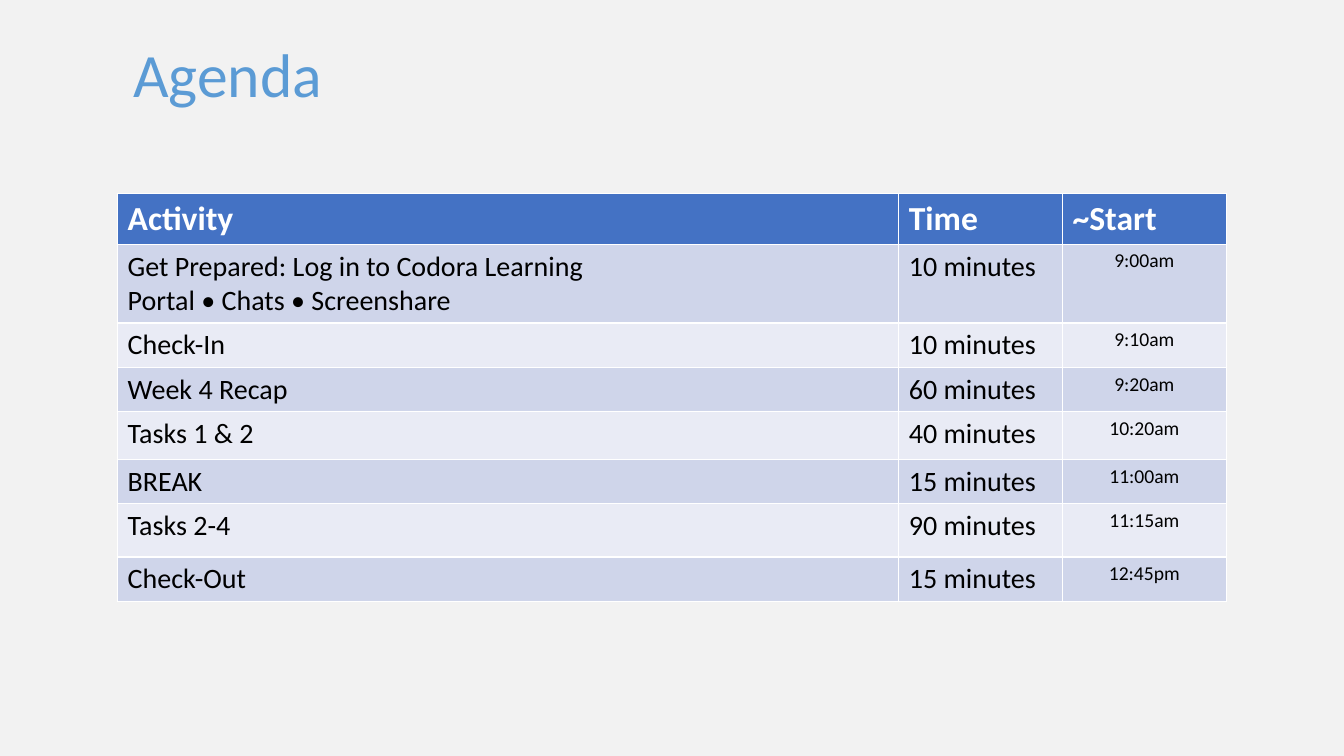
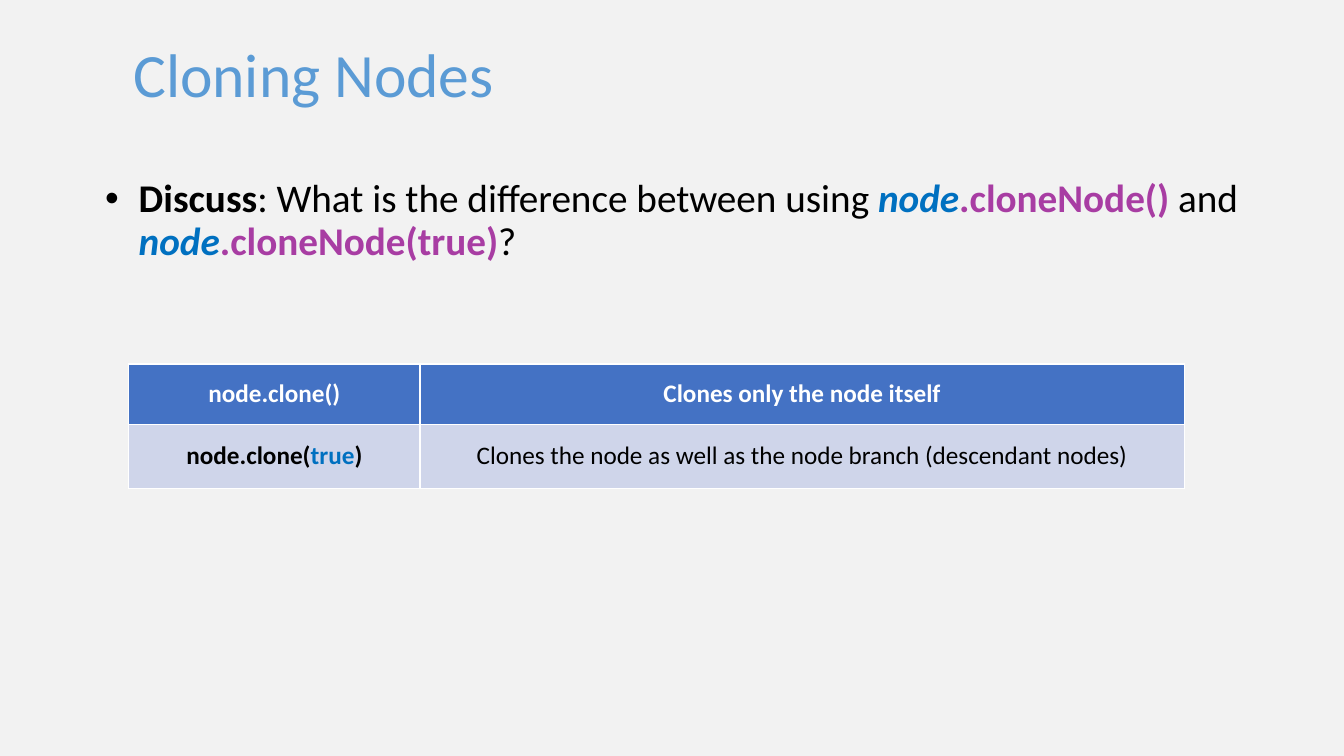
from lxml import etree
from pptx import Presentation
from pptx.dml.color import RGBColor
from pptx.enum import text
from pptx.oxml import ns
from pptx.util import Pt

COLORS = {
    "background": "F2F2F2",
    "title": "5B9BD5",
    "header": "4472C4",
    "band_dark": "CFD5EA",
    "band_light": "E9EBF5",
    "white": "FFFFFF",
    "black": "000000",
    "node": "0070C0",
    "method": "A83DA3",
}
FONT = "Calibri"
LEFT, CENTER = text.PP_ALIGN.LEFT, text.PP_ALIGN.CENTER
MIDDLE = text.MSO_ANCHOR.MIDDLE

prs = Presentation()
prs.slide_width, prs.slide_height = Pt(960), Pt(540)
background = prs.slide_master.background.fill
background.solid()
background.fore_color.rgb = RGBColor.from_string(COLORS["background"])


def write(paragraph, runs, size, color, bold=False, align=LEFT):
    """Fill a paragraph with (text, colour, bold, italic) runs or plain text."""
    paragraph.alignment = align
    paragraph.font.name = FONT
    paragraph.font.size = Pt(size)
    paragraph.font.bold = bold
    paragraph.font.color.rgb = RGBColor.from_string(COLORS[color])
    if isinstance(runs, str):
        paragraph.text = runs
        return
    for words, run_color, run_bold, run_italic in runs:
        run = paragraph.add_run()
        run.text = words
        run.font.bold, run.font.italic = run_bold, run_italic
        run.font.color.rgb = RGBColor.from_string(COLORS[run_color])


def add_table(slide, left, top, widths, heights):
    """Add a table with a coloured header and alternating row bands."""
    table = slide.shapes.add_table(len(heights), len(widths), Pt(left), Pt(top),
                                   Pt(sum(widths)), Pt(sum(heights))).table
    for column, width in zip(table.columns, widths):
        column.width = Pt(width)
    for number, (row, height) in enumerate(zip(table.rows, heights)):
        row.height = Pt(height)
        band = "header" if number == 0 else ("band_light", "band_dark")[number % 2]
        for cell in row.cells:
            cell.fill.solid()
            cell.fill.fore_color.rgb = RGBColor.from_string(COLORS[band])
    return table


# Slides and titles
slides = []
for heading in ("Agenda", "Cloning Nodes"):
    slide = prs.slides.add_slide(prs.slide_layouts[5])
    title = slide.shapes.title
    title.left, title.top, title.width, title.height = Pt(88), Pt(12), Pt(806), Pt(87)
    title.text_frame.vertical_anchor = MIDDLE
    title.text_frame.paragraphs[0].line_spacing = 0.9
    write(title.text_frame.paragraphs[0], heading, 44, "title")
    slides.append(slide)
agenda_slide, cloning_slide = slides

# Agenda table
agenda = [
    ("Activity", "Time", "~Start"),
    ("Get Prepared: Log in to Codora Learning\vPortal • Chats • Screenshare",
     "10 minutes", "9:00am"),
    ("Check-In", "10 minutes", "9:10am"),
    ("Week 4 Recap", "60 minutes", "9:20am"),
    ("Tasks 1 & 2", "40 minutes", "10:20am"),
    ("BREAK", "15 minutes", "11:00am"),
    ("Tasks 2-4", "90 minutes", "11:15am"),
    ("Check-Out", "15 minutes", "12:45pm"),
]
agenda_table = add_table(agenda_slide, 84, 138, [558, 117, 117],
                         [36, 56, 31.6, 31.6, 34, 31.6, 38, 31.6])
for row_number, entries in enumerate(agenda):
    for column_number, entry in enumerate(entries):
        paragraph = agenda_table.cell(row_number, column_number).text_frame.paragraphs[0]
        if row_number == 0:
            write(paragraph, entry, 24, "white", bold=True)
        elif column_number == 2:
            write(paragraph, entry, 14, "black", align=CENTER)
        else:
            write(paragraph, entry, 20, "black")

# Discussion question
question = cloning_slide.shapes.add_textbox(Pt(65.5), Pt(123), Pt(842), Pt(374)).text_frame
question.word_wrap = True
question.margin_left = question.margin_right = Pt(9.6)
question.margin_top = question.margin_bottom = Pt(4.8)
discuss = question.paragraphs[0]
bullet = discuss._p.get_or_add_pPr()
bullet.set("marL", str(Pt(24)))
bullet.set("indent", str(-Pt(24)))
etree.SubElement(bullet, ns.qn("a:buFont")).set("typeface", "Arial")
etree.SubElement(bullet, ns.qn("a:buChar")).set("char", "•")
discuss.line_spacing = 0.9
discuss.space_before = Pt(10)
write(discuss, [
    ("Discuss", "black", True, False),
    (": What is the difference between using ", "black", False, False),
    ("node", "node", True, True),
    (".cloneNode() ", "method", True, False),
    ("and ", "black", False, False),
    ("node", "node", True, True),
    (".cloneNode(true)", "method", True, False),
    ("?", "black", False, False),
], 28, "black")

# Comparison table
deep_clone = [
    ("node.clone(", "black", True, False),
    ("true", "node", True, False),
    (")", "black", True, False),
]
comparison = [
    ("node.clone()", "white", True),
    ("Clones only the node itself", "white", True),
    (deep_clone, "black", True),
    ("Clones the node as well as the node branch (descendant nodes)", "black", False),
]
comparison_table = add_table(cloning_slide, 92, 260, [208, 546], [43, 46])
for cell, (words, color, bold) in zip(comparison_table.iter_cells(), comparison):
    cell.vertical_anchor = MIDDLE
    write(cell.text_frame.paragraphs[0], words, 18, color, bold, CENTER)

prs.save("out.pptx")
